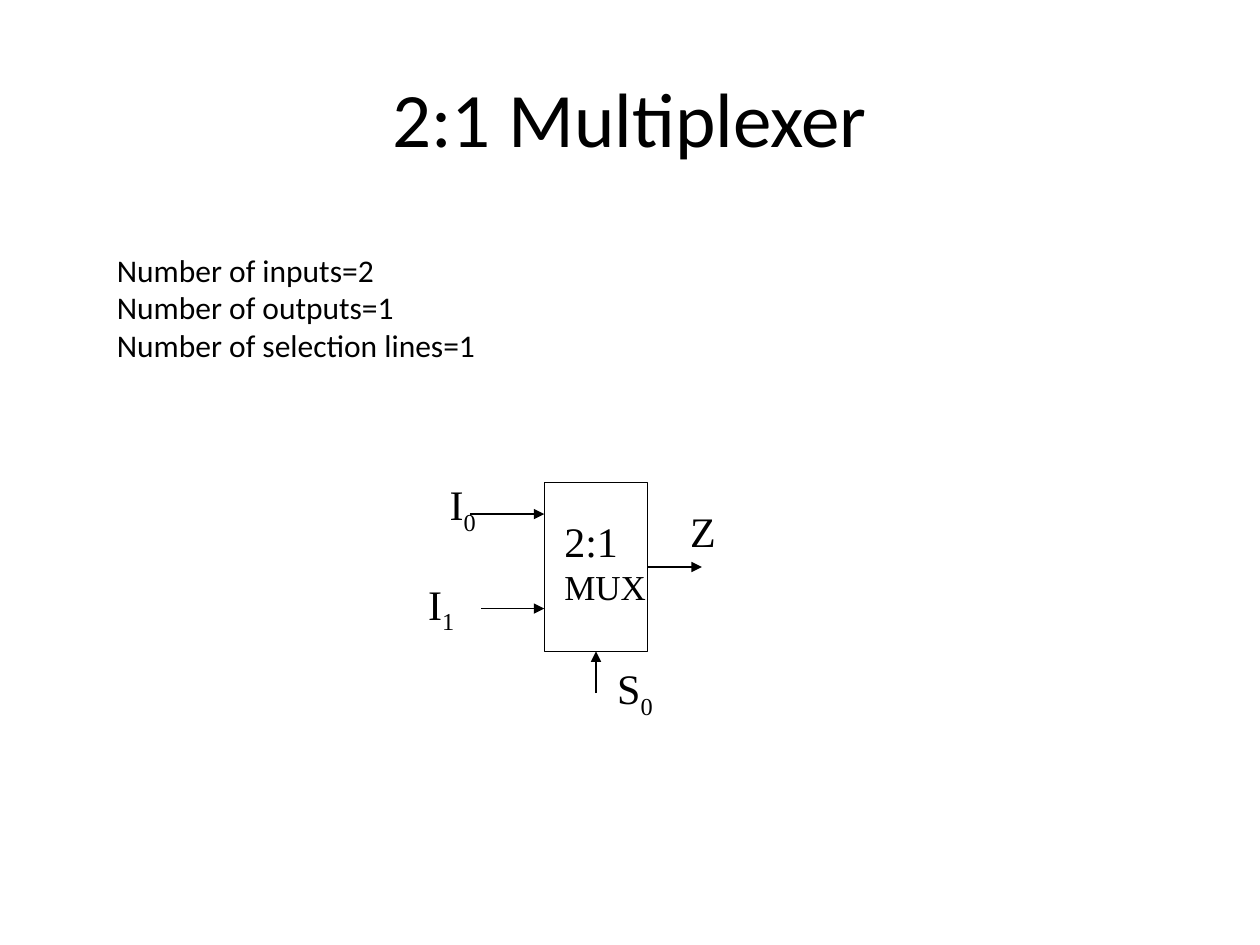
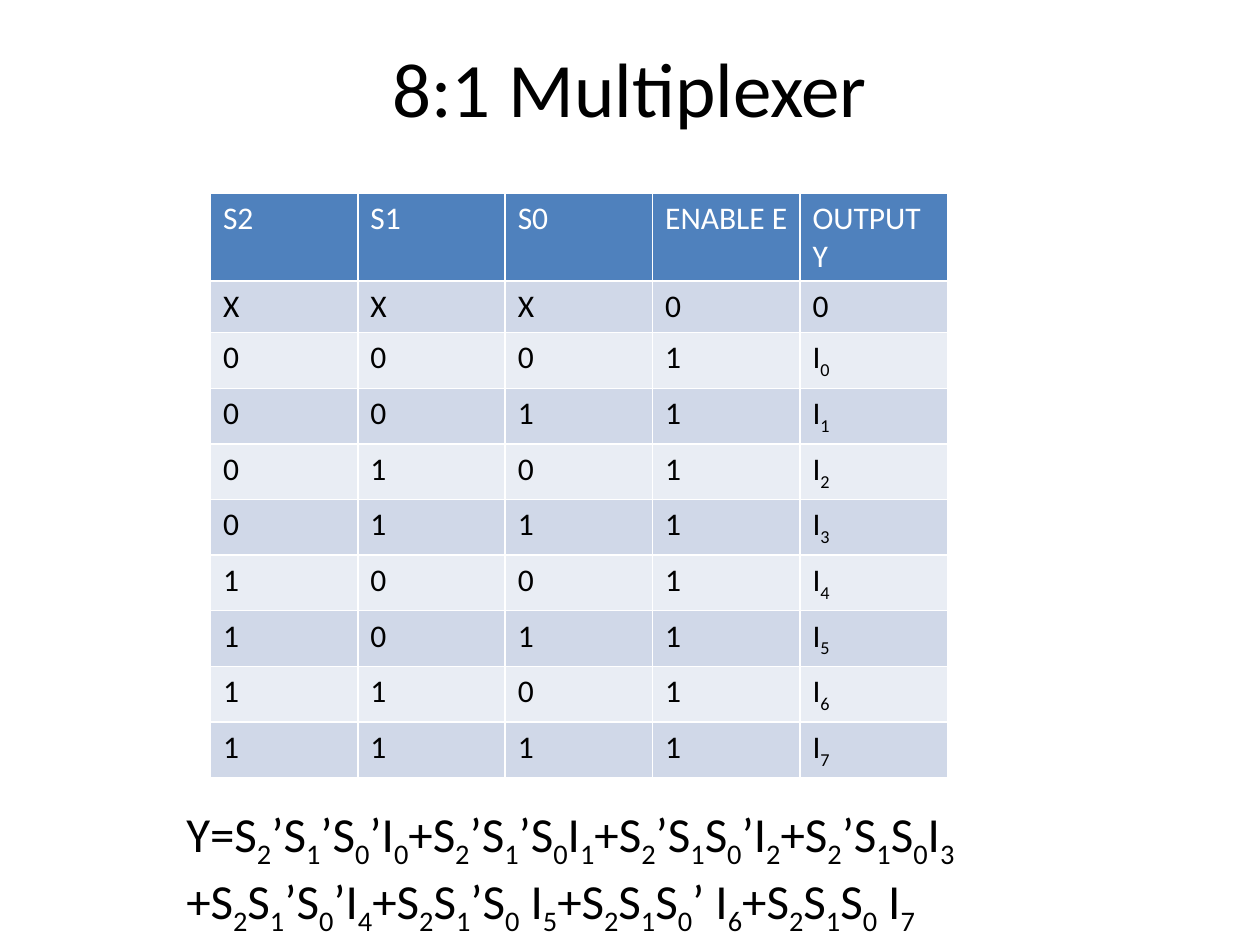
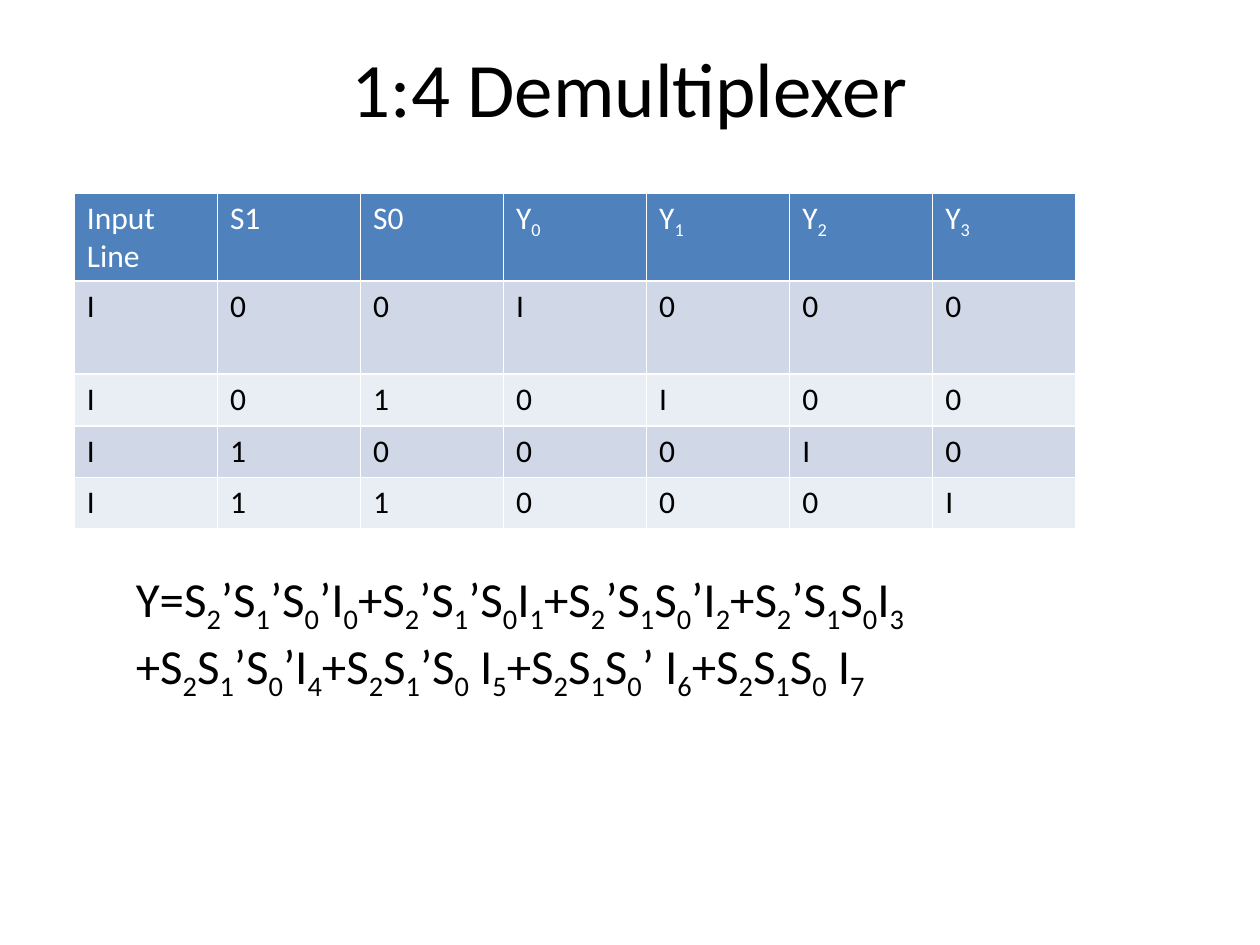
import collections

import lxml.etree
import pptx
import pptx.dml.color
import pptx.enum.shapes
import pptx.enum.text
import pptx.oxml.ns
import pptx.util

Inches = pptx.util.Inches
Pt = pptx.util.Pt
RGBColor = pptx.dml.color.RGBColor
Box = collections.namedtuple("Box", "left top width height")

BLACK = RGBColor(0x00, 0x00, 0x00)
WHITE = RGBColor(0xFF, 0xFF, 0xFF)
HEADER_BLUE = RGBColor(0x4F, 0x81, 0xBD)
BAND_DARK = RGBColor(0xD0, 0xD8, 0xE8)
BAND_LIGHT = RGBColor(0xE9, 0xED, 0xF4)
SANS = "Calibri"
SERIF = "Times New Roman"
HIGH_TITLE = Box(0.5, 0.06, 9, 1.25)
LOW_TITLE = Box(0.5, 0.3, 9, 1.25)
EQUATION = (
    "Y=S_2’S_1’S_0’I_0+S_2’S_1’S_0I_1+S_2’S_1S_0’I_2+S_2’S_1S_0I_3 "
    "+S_2S_1’S_0’I_4+S_2S_1’S_0 I_5+S_2S_1S_0’ I_6+S_2S_1S_0 I_7"
)


def inches(box):
    return [Inches(length) for length in box]


def add_child(parent, tag, **attributes):
    return lxml.etree.SubElement(parent, pptx.oxml.ns.qn(tag), attributes)


def add_span(para, text, size, font, color, lowered=False):
    span = para.add_run()
    span.text = text
    span.font.size = Pt(size)
    span.font.name = font
    span.font.bold = False
    span.font.color.rgb = color
    if lowered:
        span.font._element.set("baseline", "-25000")


def write(para, text, size, font=SANS, color=BLACK):
    first, *rest = text.split("_")
    add_span(para, first, size, font, color)
    for piece in rest:
        add_span(para, piece[0], size, font, color, lowered=True)
        if piece[1:]:
            add_span(para, piece[1:], size, font, color)


def add_text(page, box, lines, font=SANS, wrap=True):
    frame = page.shapes.add_textbox(*inches(box)).text_frame
    frame.word_wrap = wrap
    frame.auto_size = pptx.enum.text.MSO_AUTO_SIZE.SHAPE_TO_FIT_TEXT
    for index, (text, size) in enumerate(lines):
        para = frame.add_paragraph() if index else frame.paragraphs[0]
        write(para, text, size, font)


def add_page(deck, title, box):
    page = deck.slides.add_slide(deck.slide_layouts[5])
    heading = page.shapes.title
    heading.left, heading.top, heading.width, heading.height = inches(box)
    heading.text_frame.vertical_anchor = pptx.enum.text.MSO_ANCHOR.MIDDLE
    para = heading.text_frame.paragraphs[0]
    para.alignment = pptx.enum.text.PP_ALIGN.CENTER
    write(para, title, 44)
    return page


def add_arrow(page, start, end):
    arrow = page.shapes.add_connector(
        pptx.enum.shapes.MSO_CONNECTOR.STRAIGHT, *inches(start + end)
    )
    arrow.line.color.rgb = BLACK
    arrow.line.width = Pt(0.75)
    add_child(arrow.line._get_or_add_ln(), "a:tailEnd", type="triangle")
    add_child(arrow._element.spPr, "a:effectLst")
    return arrow


def add_mux(page, box):
    left, top, width, height = box
    right, bottom = left + width, top + height
    middle, center = top + height / 2, left + width / 2
    body = page.shapes.add_shape(pptx.enum.shapes.MSO_SHAPE.RECTANGLE, *inches(box))
    body.shadow.inherit = False
    body.fill.background()
    body.line.color.rgb = BLACK
    body.line.width = Pt(0.75)

    for drop, length in ((0.25, 0.59), (1, 0.5)):
        add_arrow(page, (left - length, top + drop), (left, top + drop))
    select = add_arrow(page, (center, bottom + 0.33), (center, bottom))
    select.end_connect(body, 2)
    output = add_arrow(page, (right, middle), (right + 0.43, middle))
    output.begin_connect(body, 3)

    labels = (
        (-0.85, -0.08, 0.43, 0.5, [("I_0", 24)]),
        (-1.02, 0.71, 0.42, 0.5, [("I_1", 24)]),
        (0.06, 0.21, 0.85, 0.83, [("2:1", 24), ("MUX", 20)]),
        (1.06, 0.13, 0.4, 0.5, [("Z", 24)]),
        (0.48, 1.38, 0.5, 0.5, [("S_0", 24)]),
    )
    for across, down, label_width, label_height, lines in labels:
        label_box = Box(left + across, top + down, label_width, label_height)
        add_text(page, label_box, lines, SERIF, wrap=False)


def style_cell(cell, text, fill, color):
    properties = cell._tc.get_or_add_tcPr()
    for side in ("a:lnL", "a:lnR", "a:lnT", "a:lnB"):
        border = add_child(properties, side, w=str(Pt(1)))
        add_child(add_child(border, "a:solidFill"), "a:srgbClr", val=str(WHITE))
    cell.fill.solid()
    cell.fill.fore_color.rgb = fill
    write(cell.text_frame.paragraphs[0], text, 18, SANS, color)


def add_truth_table(page, left, top, width, heights, rows):
    box = Box(left, top, width, sum(heights))
    columns = len(rows[0])
    table = page.shapes.add_table(len(rows), columns, *inches(box)).table
    table.horz_banding = False
    for column in table.columns:
        column.width = Inches(width / columns)
    for index, (values, height) in enumerate(zip(rows, heights)):
        table.rows[index].height = Inches(height)
        band = BAND_DARK if index % 2 else BAND_LIGHT
        fill, color = (band, BLACK) if index else (HEADER_BLUE, WHITE)
        for position, value in enumerate(values):
            style_cell(table.cell(index, position), value, fill, color)


def add_mux_page(deck):
    page = add_page(deck, "2:1 Multiplexer", LOW_TITLE)
    counts = ("Number of inputs=2", "Number of outputs=1", "Number of selection lines=1")
    add_text(page, Box(0.83, 1.94, 8.03, 1.01), [(line, 18) for line in counts])
    add_mux(page, Box(4.32, 3.83, 0.82, 1.34))


def add_eight_way_page(deck):
    page = add_page(deck, "8:1 Multiplexer", HIGH_TITLE)
    add_text(page, Box(1.38, 6.33, 7.48, 1.04), [(EQUATION, 28)])
    rows = [["S2", "S1", "S0", "ENABLE E", "OUTPUT Y"], ["X", "X", "X", "0", "0"]]
    rows += [[*f"{number:03b}", "1", f"I_{number}"] for number in range(8)]
    add_truth_table(page, 1.67, 1.53, 5.85, [0.7, 0.41] + [0.44] * 8, rows)


def add_demux_page(deck):
    page = add_page(deck, "1:4 Demultiplexer", HIGH_TITLE)
    add_text(page, Box(0.98, 4.46, 7.48, 1.04), [(EQUATION, 28)])
    rows = [["Input Line", "S1", "S0"] + [f"Y_{number}" for number in range(4)]]
    for number in range(4):
        outputs = ["I" if output == number else "0" for output in range(4)]
        rows.append(["I", *f"{number:02b}", *outputs])
    add_truth_table(page, 0.59, 1.53, 7.95, [0.7, 0.74] + [0.41] * 3, rows)


def main():
    deck = pptx.Presentation()
    deck.slide_width, deck.slide_height = Inches(10), Inches(7.5)
    add_mux_page(deck)
    add_eight_way_page(deck)
    add_demux_page(deck)
    deck.save("out.pptx")


if __name__ == "__main__":
    main()
